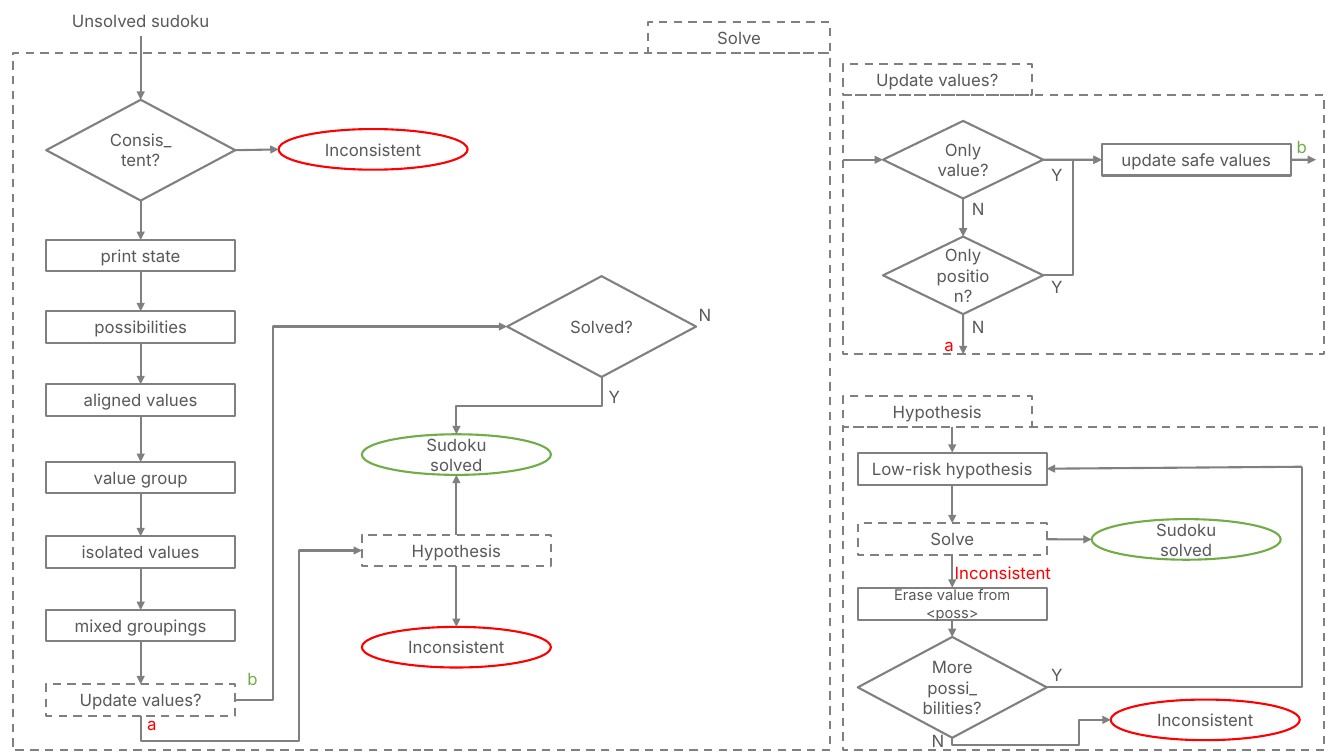
from dataclasses import dataclass

from pptx import Presentation
from pptx.dml import color
from pptx.enum import dml, shapes, text
from pptx.oxml import ns, xmlchemy
from pptx.util import Pt


@dataclass(frozen=True)
class Theme:
    """Colours, type and common sizes."""
    font: str = "Inter"
    size: float = 12
    small: float = 10.5
    ink: str = "595959"
    line: str = "808080"
    red: str = "FF0000"
    green: str = "70AD47"
    width: float = 1.5
    wide: float = 135
    row: float = 22.5
    oval: float = 29
    peak: float = 72


T = Theme()
RECT = shapes.MSO_SHAPE.RECTANGLE
OVAL = shapes.MSO_SHAPE.OVAL
RHOMB = shapes.MSO_SHAPE.DIAMOND
SIDES = {"n": (0.5, 0), "w": (0, 0.5), "s": (0.5, 1), "e": (1, 0.5)}


def rgb(code):
    """Turn a hex code into a colour."""
    return color.RGBColor.from_string(code)


def write(shape, words, tint, size):
    """Put centred text into a shape."""
    frame = shape.text_frame
    frame.word_wrap = True
    frame.text = words
    for para in frame.paragraphs:
        para.alignment = text.PP_ALIGN.CENTER
        for run in para.runs:
            run.font.name = T.font
            run.font.size = Pt(size)
            run.font.color.rgb = rgb(tint)


def add(parent, tag, **attrs):
    """Append an XML element with attributes."""
    item = xmlchemy.OxmlElement(tag)
    for key, value in attrs.items():
        item.set(key, str(value))
    parent.append(item)
    return item


class Pen:
    """Draws flow parts relative to a box."""

    def __init__(self, slide, box):
        self.draw = slide.shapes
        self.x, self.y, self.w, self.h = box

    def node(self, x, y, words="", kind=RECT, w=T.wide, h=T.row,
             tint=T.line, dash=False, size=T.size):
        """Add an outlined step with centred text."""
        shape = self.draw.add_shape(kind, Pt(self.x + x), Pt(self.y + y), Pt(w), Pt(h))
        shape.shadow.inherit = False
        shape.fill.background()
        shape.line.color.rgb = rgb(tint)
        shape.line.width = Pt(T.width)
        if dash:
            shape.line.dash_style = dml.MSO_LINE.DASH
        shape.text_frame.vertical_anchor = text.MSO_ANCHOR.MIDDLE
        if words:
            write(shape, words, T.ink, size)
        return shape

    def oval(self, x, y, words, tint):
        """Add an outcome."""
        return self.node(x, y, words, OVAL, h=T.oval, tint=tint)

    def frame(self, title, x=0, w=T.wide):
        """Add the dashed region with its title tab."""
        self.node(0, 0, w=self.w, h=self.h, dash=True)
        self.node(x, -22, title, w=w, h=22, dash=True)

    def tag(self, x, y, words, tint=T.ink, w=32.4):
        """Add a free label."""
        label = self.draw.add_textbox(Pt(self.x + x), Pt(self.y + y), Pt(w), Pt(21.6))
        write(label, words, tint, T.size)
        label.text_frame.auto_size = text.MSO_AUTO_SIZE.SHAPE_TO_FIT_TEXT

    def spot(self, end):
        """Resolve (shape, side) or (x, y) to a slide point."""
        first, second = end
        if isinstance(second, str):
            dx, dy = SIDES[second]
            return (int(first.left + dx * first.width),
                    int(first.top + dy * first.height))
        return Pt(self.x + first), Pt(self.y + second)

    def line(self, kind, start, end, arrow=True):
        """Add a styled connector."""
        wire = self.draw.add_connector(kind, *self.spot(start), *self.spot(end))
        wire.line.color.rgb = rgb(T.line)
        wire.line.width = Pt(T.width)
        if arrow:
            add(wire.line._get_or_add_ln(), "a:tailEnd", type="triangle")
        add(wire._element.spPr, "a:effectLst")
        return wire

    def link(self, start, end):
        """Add a straight arrow, glued where it meets a shape."""
        wire = self.line(shapes.MSO_CONNECTOR.STRAIGHT, start, end)
        for join, (shape, side) in ((wire.begin_connect, start), (wire.end_connect, end)):
            if isinstance(side, str):
                step = 2 if shape.auto_shape_type == OVAL else 1
                site = "nwse".index(side) * step
                if site < 4:
                    join(shape, site)
        wire.begin_x, wire.begin_y = self.spot(start)
        wire.end_x, wire.end_y = self.spot(end)

    def bend(self, start, end, *turns, down=False, arrow=True):
        """Add an elbow; turns are lengths along its first and second axis."""
        wire = self.line(shapes.MSO_CONNECTOR.ELBOW, start, end, arrow)
        (ax, ay), (bx, by) = self.spot(start), self.spot(end)
        across, along = abs(bx - ax), abs(by - ay)
        if down:
            wire.left = (ax + bx - along) // 2
            wire.top = (ay + by - across) // 2
            wire.width, wire.height = along, across
            form = wire._element.spPr.find(ns.qn("a:xfrm"))
            form.set("rot", "5400000")
            form.set("flipH", str(int(by < ay)))
            form.set("flipV", str(int(bx > ax)))
        geom = wire._element.spPr.find(ns.qn("a:prstGeom"))
        geom.set("prst", f"bentConnector{len(turns) + 2}")
        guides = geom.find(ns.qn("a:avLst"))
        if guides is None:
            guides = add(geom, "a:avLst")
        for i, (turn, span) in enumerate(zip(turns, (wire.width, wire.height)), 1):
            add(guides, "a:gd", name=f"adj{i}", fmla=f"val {round(Pt(turn) / span * 100000)}")


def solve(slide, box):
    """Draw the main solving loop."""
    pen = Pen(slide, box)
    pen.frame("Solve", box[2] - 130, 130)
    pen.tag(12, -33.7, "Unsolved sudoku", w=159)

    check = pen.node(24, 33.3, "Consis_\ntent?", RHOMB, h=T.peak)
    pen.link((91.5, -12), (check, "n"))
    last = check
    steps = (("print state", 133.4), ("possibilities", 184.3), ("aligned values", 236.5),
             ("value group", 292), ("isolated values", 345), ("mixed groupings", 397.7),
             ("Update values?", 450.8))
    for words, y in steps:
        step = pen.node(24, y, words, dash=words.endswith("?"))
        pen.link((last, "s"), (step, "n"))
        last = step

    wrong = pen.oval(190, 54.2, "Inconsistent", T.red)
    done = pen.node(353.2, 159.3, "Solved?", RHOMB, h=T.peak)
    good = pen.oval(249.5, 272.2, "Sudoku solved", T.green)
    guess = pen.node(249.5, 344, "Hypothesis", dash=True)
    fail = pen.oval(249.5, 409.8, "Inconsistent", T.red)
    pen.link((check, "e"), (wrong, "w"))
    pen.link((guess, "n"), (good, "s"))
    pen.link((guess, "s"), (fail, "n"))
    pen.bend((done, "s"), (good, "n"), 20.5, down=True)
    pen.bend((last, "e"), (done, "w"), 27)
    pen.bend((last, "s"), (guess, "w"), -18, 113, down=True)
    pen.tag(478.4, 175.8, "N")
    pen.tag(413.6, 234.9, "Y")
    pen.tag(155.2, 436.5, "b", T.green)
    pen.tag(83.2, 468.2, "a", T.red)


def update(slide, box):
    """Draw the check for new safe values."""
    pen = Pen(slide, box)
    pen.frame("Update values?")
    value, place = [pen.node(28.7, y, words, RHOMB, w=114.5, h=55.4)
                    for words, y in (("Only value?", 18.4), ("Only position?", 101))]
    safe = pen.node(185, 34.9, "update safe values")
    pen.link((0, 46.1), (value, "w"))
    pen.link((value, "s"), (place, "n"))
    pen.link((place, "s"), (86, box[3]))
    pen.link((value, "e"), (safe, "w"))
    pen.link((safe, "e"), (338, 46.1))
    pen.bend((place, "e"), (safe, "w"), 21)
    for y in (45.8, 126.4):
        pen.tag(136.7, y, "Y")
    for y in (70.2, 154.5):
        pen.tag(80.6, y, "N")
    pen.tag(59.7, 167.4, "a", T.red)
    pen.tag(311.7, 26.3, "b", T.green)


def guess(slide, box):
    """Draw the trial of a hypothesis."""
    pen = Pen(slide, box)
    pen.frame("Hypothesis")
    risk = pen.node(10.7, 18.3, "Low-risk hypothesis", h=23)
    run = pen.node(10.7, 68.7, "Solve", h=23, dash=True)
    erase = pen.node(10.7, 114.8, "Erase value from <poss>", h=23, size=T.small)
    more = pen.node(10.7, 150, "More possi_\nbilities?", RHOMB, h=T.peak)
    good = pen.oval(177.8, 65.8, "Sudoku solved", T.green)
    fail = pen.oval(191.4, 194.7, "Inconsistent", T.red)
    pen.link((78.2, 0), (risk, "n"))
    for above, below in ((risk, run), (run, erase), (erase, more)):
        pen.link((above, "s"), (below, "n"))
    pen.link((run, "e"), (good, "w"))
    pen.bend((more, "s"), (fail, "w"), -5, 90.5, down=True)
    back = (328.2, 28.4)
    pen.bend((more, "e"), back, 182.5, arrow=False)
    pen.link(back, (risk, "e"))
    pen.tag(136.7, 166.6, "Y")
    pen.tag(51.8, 213.4, "N")
    pen.tag(35.2, 93.2, "Inconsistent", T.red, 158.4)


deck = Presentation()
deck.slide_width, deck.slide_height = Pt(960), Pt(540)
page = deck.slides.add_slide(deck.slide_layouts[6])
solve(page, (9, 38, 584, 498))
update(page, (602, 68, 344, 185))
guess(page, (602, 305, 344, 231))
deck.save("out.pptx")
